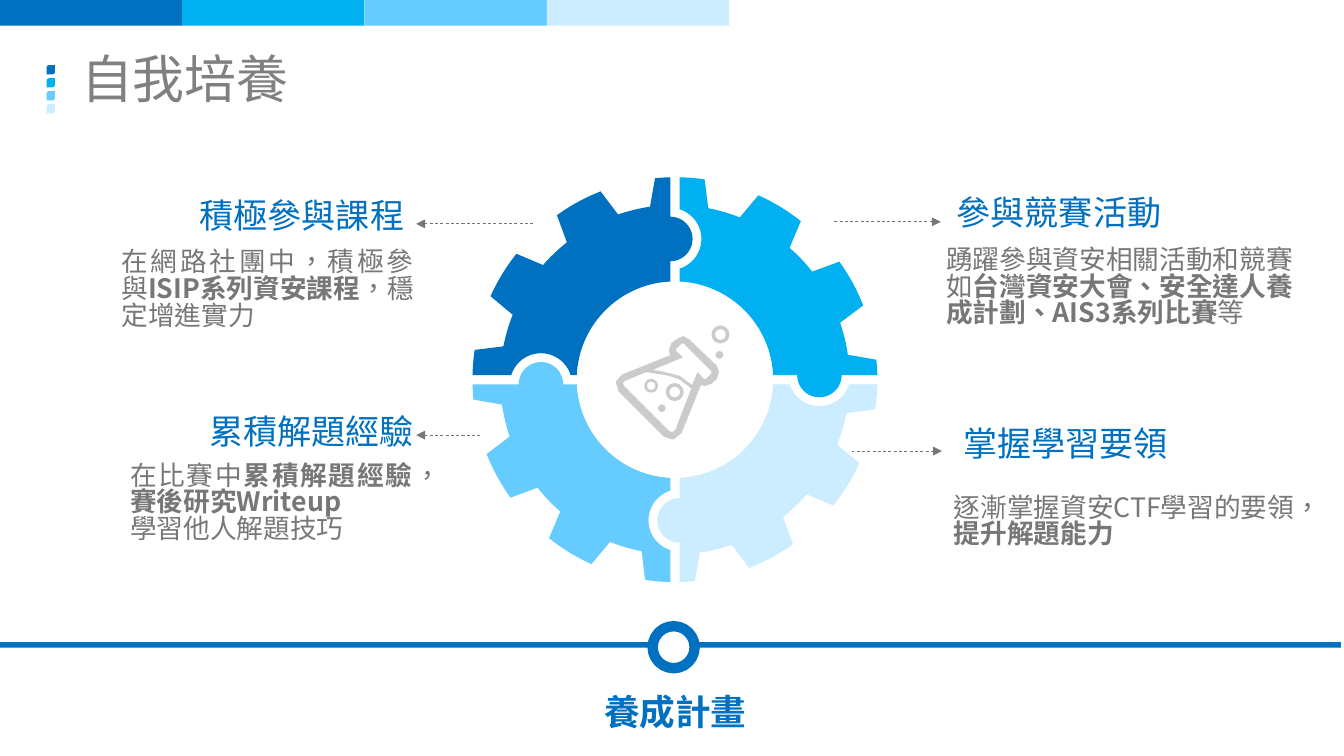
from dataclasses import dataclass
from math import asin, cos, degrees, radians, sin, sqrt

from lxml import etree
from pptx import Presentation
from pptx.dml.color import RGBColor
from pptx.enum.dml import MSO_LINE
from pptx.enum.shapes import MSO_CONNECTOR, MSO_SHAPE
from pptx.enum.text import MSO_ANCHOR, PP_ALIGN
from pptx.oxml.ns import qn
from pptx.util import Cm, Pt

LEFT, RIGHT, CENTER, JUSTIFY = PP_ALIGN.LEFT, PP_ALIGN.RIGHT, PP_ALIGN.CENTER, PP_ALIGN.JUSTIFY
RECT, OVAL, RING = MSO_SHAPE.RECTANGLE, MSO_SHAPE.OVAL, MSO_SHAPE.DONUT
LEAF = MSO_SHAPE.ROUND_2_DIAG_RECTANGLE
FONT = "Noto Sans CJK SC"
BLUE, GRAY, ICON_GRAY = "0070C0", "777777", "CBCBCB"
PALETTE = [BLUE, "00B0F0", "66CCFF", "CCECFF"]

# Gear dimensions in cm, angles in degrees clockwise from the top
GEAR_X, GEAR_Y = 16.07, 9.04
TIP_RADIUS, ROOT_RADIUS, HOLE_RADIUS = 4.82, 4.16, 2.34
KNOB_RADIUS, SOCKET_RADIUS, HALF_GAP = 0.53, 0.74, 0.11
TOOTH_STEP, TOOTH_OFFSET, TIP_HALF, BASE_HALF = 30, 1.4, 7.05, 9.6
KNOB_DISTANCES = [3.35, 3.44, 3.35, 3.19]
GEAR_COLORS = [PALETTE[i] for i in (0, 1, 3, 2)]

FLASK = [
    [(16.41, 8.08), (16.26, 8), (16.1, 8.08), (15.98, 8.18), (15.93, 8.33), (15.95, 8.46),
     (14.81, 8.92), (14.66, 9.09), (14.73, 9.32), (15.8, 10.39), (15.98, 10.46),
     (16.05, 10.46), (16.23, 10.31), (16.69, 9.17), (16.79, 9.19), (16.94, 9.14),
     (17.07, 9.02), (17.12, 8.86), (17.07, 8.71)],
    [(16.08, 10.24), (16, 10.29), (15.93, 10.26), (14.86, 9.19), (14.83, 9.12),
     (14.88, 9.07), (15.39, 8.86), (15.93, 8.95), (16.19, 9.04), (16.46, 9.25)],
    [(16.94, 8.89), (16.81, 9.02), (16.76, 9.02), (16.61, 8.86), (16.48, 9.17),
     (16.18, 8.95), (15.75, 8.84), (15.54, 8.81), (16.26, 8.51), (16.1, 8.36),
     (16.1, 8.31), (16.23, 8.18), (16.28, 8.18), (16.94, 8.84)],
]
BUBBLES = [(15.85, 9.12, 0.43), (16.94, 7.75, 0.43), (15.34, 9.02, 0.33)]
DROPS = [(15.67, 9.63), (17.04, 8.36)]


@dataclass
class Span:
    text: str
    bold: bool = False


@dataclass
class Callout:
    heading: str
    heading_at: tuple[float, float]
    heading_align: PP_ALIGN
    body: list[list[Span]]
    body_at: tuple[float, float, float, float]
    body_align: PP_ALIGN
    arrow_tip: tuple[float, float]
    arrow_start_x: float


CALLOUTS = [
    Callout("積極參與課程", (3.99, 4.7), RIGHT,
            [[Span("在網路社團中，積極參與"), Span("ISIP系列資安課程", True), Span("，穩定增進實力")]],
            (2.79, 5.87, 7.16, 2.51), JUSTIFY, (9.91, 5.33), 12.73),
    Callout("累積解題經驗", (4.22, 9.83), RIGHT,
            [[Span("在比賽中"), Span("累積解題經驗", True), Span("，"), Span("賽後研究Writeup", True)],
             [Span("學習他人解題技巧")]],
            (3, 10.95, 6.96, 2.51), JUSTIFY, (9.91, 10.36), 11.46),
    Callout("參與競賽活動", (22.68, 4.62), LEFT,
            [[Span("踴躍參與資安相關活動和競賽如"),
              Span("台灣資安大會、安全達人養成計劃、AIS3系列比賽", True), Span("等")]],
            (22.43, 5.82, 8.56, 2.51), LEFT, (22.4, 5.28), 19.84),
    Callout("掌握學習要領", (22.83, 10.13), LEFT,
            [[Span("逐漸掌握資安CTF學習的要領，"), Span("提升解題能力", True)]],
            (22.61, 11.71, 8.41, 1.75), LEFT, (22.43, 10.74), 20.29),
]


def color(value: str) -> RGBColor:
    return RGBColor.from_string(value)


def paint(shape, fill: str):
    shape.shadow.inherit = False
    shape.fill.solid()
    shape.fill.fore_color.rgb = color(fill)
    shape.line.fill.background()
    return shape


def add_preset(page, kind, left: float, top: float, width: float, height: float, fill: str):
    return paint(page.shapes.add_shape(kind, Cm(left), Cm(top), Cm(width), Cm(height)), fill)


def add_outline(page, contours: list, fill: str) -> None:
    builder = None
    for contour in contours:
        points = [(Cm(x), Cm(y)) for x, y in contour]
        if builder is None:
            builder = page.shapes.build_freeform(*points[0], scale=1.0)
        else:
            builder.move_to(*points[0])
        builder.add_line_segments(points[1:], close=True)
    paint(builder.convert_to_shape(), fill)


def add_text(page, paragraphs: list[list[Span]], at: tuple, size: float, ink: str,
             align=LEFT, anchor=MSO_ANCHOR.TOP, inset: tuple = (0.1, 0.1)) -> None:
    frame = page.shapes.add_textbox(*(Cm(value) for value in at)).text_frame
    frame.word_wrap = True
    frame.vertical_anchor = anchor
    frame.margin_left = frame.margin_right = Cm(inset[0])
    frame.margin_top = frame.margin_bottom = Cm(inset[1])
    for index, spans in enumerate(paragraphs):
        para = frame.add_paragraph() if index else frame.paragraphs[0]
        para.alignment = align
        para.line_spacing = 0.83
        for span in spans:
            run = para.add_run()
            run.text = span.text
            run.font.size = Pt(size)
            run.font.bold = span.bold
            run.font.color.rgb = color(ink)
            run.font.name = FONT
            properties = run.font._element
            properties.set("lang", "zh-TW")
            etree.SubElement(properties, qn("a:ea")).set("typeface", FONT)


def add_arrow(page, tip: tuple[float, float], start_x: float) -> None:
    arrow = page.shapes.add_connector(MSO_CONNECTOR.STRAIGHT, Cm(tip[0]), Cm(tip[1]),
                                      Cm(start_x), Cm(tip[1]))
    arrow.line.color.rgb = color(GRAY)
    arrow.line.width = Pt(0.5)
    arrow.line.dash_style = MSO_LINE.DASH
    etree.SubElement(arrow.line._get_or_add_ln(), qn("a:headEnd")).set("type", "triangle")
    etree.SubElement(arrow._element.spPr, qn("a:effectLst"))


def arc(x: float, y: float, radius: float, start: float, end: float, steps: int = 24) -> list:
    """Points on a circle, with angles clockwise from the top."""
    angles = [radians(start + (end - start) * i / steps) for i in range(steps + 1)]
    return [(x + radius * sin(a), y - radius * cos(a)) for a in angles]


def gear_piece(turn: int) -> list:
    """Build the upper left quarter and rotate it clockwise by quarter turns."""
    def seam_angle(radius: float) -> float:
        return degrees(asin(HALF_GAP / radius))

    knob, socket = KNOB_DISTANCES[turn], KNOB_DISTANCES[turn - 1]
    teeth = [TOOTH_OFFSET + TOOTH_STEP * k for k in range(-3, 1)]
    edge = seam_angle(TIP_RADIUS)
    points = []
    for tooth in teeth:
        start, end = max(tooth - TIP_HALF, edge - 90), min(tooth + TIP_HALF, -edge)
        points += arc(0, 0, TIP_RADIUS, start, end, 6)
        if tooth != teeth[-1]:
            points += arc(0, 0, ROOT_RADIUS, tooth + BASE_HALF,
                          tooth + TOOTH_STEP - BASE_HALF, 6)
    points += arc(-HALF_GAP, -knob, KNOB_RADIUS, 0, 180)
    inner = seam_angle(HOLE_RADIUS)
    points += arc(0, 0, HOLE_RADIUS, -inner, inner - 90)
    chord = sqrt(SOCKET_RADIUS ** 2 - (2 * HALF_GAP) ** 2)
    opening = degrees(asin(chord / SOCKET_RADIUS))
    points += arc(-socket, HALF_GAP, SOCKET_RADIUS, opening, -opening)
    for _ in range(turn):
        points = [(-y, x) for x, y in points]
    return [(GEAR_X + x, GEAR_Y + y) for x, y in points]


def add_flask(page) -> None:
    add_outline(page, FLASK, ICON_GRAY)
    for left, top, size in BUBBLES:
        add_preset(page, RING, left, top, size, size, ICON_GRAY).adjustments[0] = 0.2
    for left, top in DROPS:
        add_preset(page, OVAL, left, top, 0.18, 0.18, ICON_GRAY)


def add_timeline(page) -> None:
    for left, width in ((0, 15.52), (16.08, 15.85)):
        add_preset(page, RECT, left, 15.29, width, 0.13, BLUE)
    marker = add_preset(page, OVAL, 15.54, 14.91, 1, 1, "FFFFFF")
    marker.line.color.rgb = color(BLUE)
    marker.line.width = Pt(7)


def main() -> None:
    deck = Presentation()
    deck.slide_width, deck.slide_height = Cm(32), Cm(18)
    page = deck.slides.add_slide(deck.slide_layouts[6])

    add_text(page, [[Span("自我培養")]], (1.6, 1.32, 28.8, 1.3), 35, "808080",
             anchor=MSO_ANCHOR.MIDDLE, inset=(0.33, 0.15))
    for turn, fill in enumerate(GEAR_COLORS):
        add_outline(page, [gear_piece(turn)], fill)
    for item in CALLOUTS:
        add_text(page, item.body, item.body_at, 18, GRAY, item.body_align)
        add_text(page, [[Span(item.heading)]], (*item.heading_at, 5.74, 1.19), 23, BLUE,
                 item.heading_align)
        add_arrow(page, item.arrow_tip, item.arrow_start_x)
    add_flask(page)
    add_timeline(page)
    add_text(page, [[Span("養成計畫", True)]], (12.45, 16.51, 7.26, 1.24), 24, BLUE, CENTER)
    for index, fill in enumerate(PALETTE):
        add_preset(page, RECT, 4.34 * index, 0, 4.34, 0.61, fill)
        add_preset(page, LEAF, 1.11, 1.55 + 0.31 * index, 0.2, 0.22, fill).adjustments[0] = 0.3
    deck.save("out.pptx")


if __name__ == "__main__":
    main()
